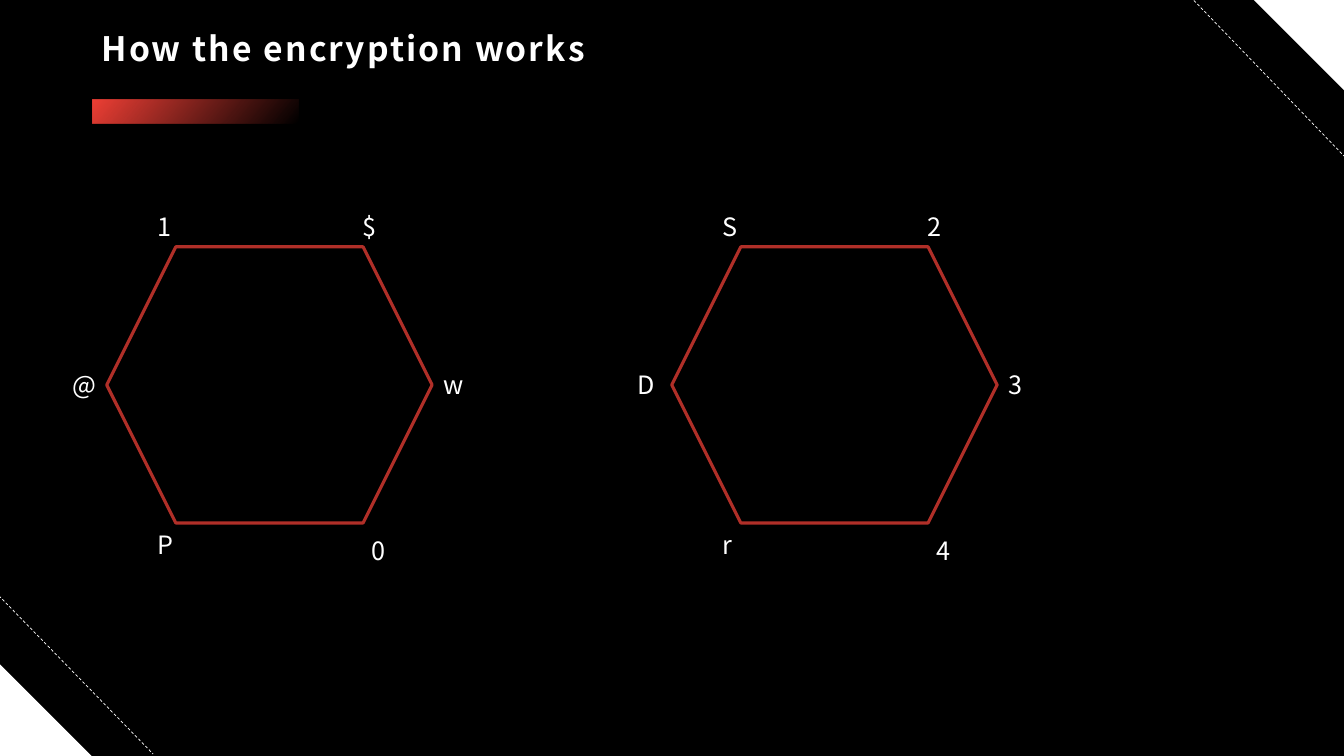
from dataclasses import dataclass

from lxml.etree import SubElement
from pptx import Presentation
from pptx.dml.color import RGBColor
from pptx.enum.dml import MSO_LINE
from pptx.enum.shapes import MSO_CONNECTOR, MSO_SHAPE
from pptx.enum.text import MSO_ANCHOR, MSO_AUTO_SIZE
from pptx.oxml.ns import qn
from pptx.util import Cm, Pt


@dataclass(frozen=True)
class Theme:
    background: RGBColor = RGBColor(0x00, 0x00, 0x00)
    foreground: RGBColor = RGBColor(0xFF, 0xFF, 0xFF)
    accent: RGBColor = RGBColor(0xEE, 0x40, 0x36)
    outline: RGBColor = RGBColor(0xB0, 0x2F, 0x28)
    title_font: str = "Noto Sans CJK TC"
    label_font: str = "Noto Sans CJK JP"
    title_size: Pt = Pt(24)
    label_size: Pt = Pt(18)
    outline_width: Pt = Pt(2.25)
    dash_width: Pt = Pt(0.5)


THEME = Theme()
SLIDE_WIDTH, SLIDE_HEIGHT = 33.87, 19.05
HEXAGON_WIDTH, HEXAGON_HEIGHT = 8.2, 6.96
LABEL_WIDTH, LABEL_HEIGHT = 1.3, 1.02

# Label positions from the hexagon's top left, clockwise from its top left vertex
LABEL_OFFSETS = [
    (1.02, -1.02), (6.2, -1.02), (8.23, 2.95),
    (6.43, 7.14), (1.02, 6.99), (-1.12, 2.95),
]


def add_preset(slide, preset, left, top, width, height):
    shape = slide.shapes.add_shape(preset, Cm(left), Cm(top), Cm(width), Cm(height))
    shape.shadow.inherit = False
    return shape


def add_text(slide, text, left, top, width, height, font_name, size):
    box = slide.shapes.add_textbox(Cm(left), Cm(top), Cm(width), Cm(height))
    box.text_frame.word_wrap = True
    paragraph = box.text_frame.paragraphs[0]
    paragraph.text = text
    paragraph.font.name = font_name
    paragraph.font.size = size
    paragraph.font.color.rgb = THEME.foreground
    return box


def add_corner(slide, left, top, size, rotation, line_start, line_end):
    """White corner triangle with a dashed line running beside it."""
    triangle = add_preset(slide, MSO_SHAPE.RIGHT_TRIANGLE, left, top, size, size)
    triangle.rotation = rotation
    triangle.fill.solid()
    triangle.fill.fore_color.rgb = THEME.foreground
    triangle.line.fill.background()

    ends = [Cm(value) for value in (*line_start, *line_end)]
    line = slide.shapes.add_connector(MSO_CONNECTOR.STRAIGHT, *ends)
    line.line.color.rgb = THEME.foreground
    line.line.width = THEME.dash_width
    line.line.dash_style = MSO_LINE.DASH
    SubElement(line._element.spPr, qn("a:effectLst"))


def add_heading(slide, text, left, top, width, height):
    """Title with a fading accent bar below it."""
    bar = add_preset(slide, MSO_SHAPE.RECTANGLE, left + 0.02, top + 2.04, 5.18, 0.6)
    bar.line.fill.background()
    bar.fill.gradient()
    bar.fill.gradient_angle = 320
    for stop, position in zip(bar.fill.gradient_stops, (0, 0.99)):
        stop.color.rgb = THEME.accent
        stop.position = position
    faded_color = bar._element.spPr.findall(".//" + qn("a:srgbClr"))[-1]
    SubElement(faded_color, qn("a:alpha"), val="0")

    title = add_text(slide, text, left, top, width, height,
                     THEME.title_font, THEME.title_size)
    title.text_frame.vertical_anchor = MSO_ANCHOR.MIDDLE
    paragraph = title.text_frame.paragraphs[0]
    paragraph.line_spacing = 0.9
    paragraph.font.bold = True
    paragraph.runs[0].font._element.set("spc", "150")


def add_hexagon(slide, labels, left, top):
    """Outlined hexagon with one character at each vertex."""
    hexagon = add_preset(slide, MSO_SHAPE.HEXAGON, left, top,
                         HEXAGON_WIDTH, HEXAGON_HEIGHT)
    hexagon.fill.background()
    hexagon.line.color.rgb = THEME.outline
    hexagon.line.width = THEME.outline_width

    for label, (across, down) in zip(labels, LABEL_OFFSETS):
        box = add_text(slide, label, left + across, top + down,
                       LABEL_WIDTH, LABEL_HEIGHT, THEME.label_font, THEME.label_size)
        box.text_frame.auto_size = MSO_AUTO_SIZE.SHAPE_TO_FIT_TEXT


def main():
    presentation = Presentation()
    presentation.slide_width = Cm(SLIDE_WIDTH)
    presentation.slide_height = Cm(SLIDE_HEIGHT)
    slide = presentation.slides.add_slide(presentation.slide_layouts[6])
    slide.background.fill.solid()
    slide.background.fill.fore_color.rgb = THEME.background

    # Corner decoration
    add_corner(slide, 0, 16.74, 2.31, 0, (-0.03, 15.01), (3.86, 19))
    add_corner(slide, 31.57, -0.03, 2.31, 180, (30, -0.08), (33.88, 3.94))

    # Heading
    add_heading(slide, "How the encryption works", 2.31, 0.46, 29.24, 1.63)

    # Character hexagons
    for left, labels in ((2.69, "1$w0P@"), (16.93, "S234rD")):
        add_hexagon(slide, labels, left, 6.22)

    presentation.save("out.pptx")


if __name__ == "__main__":
    main()
